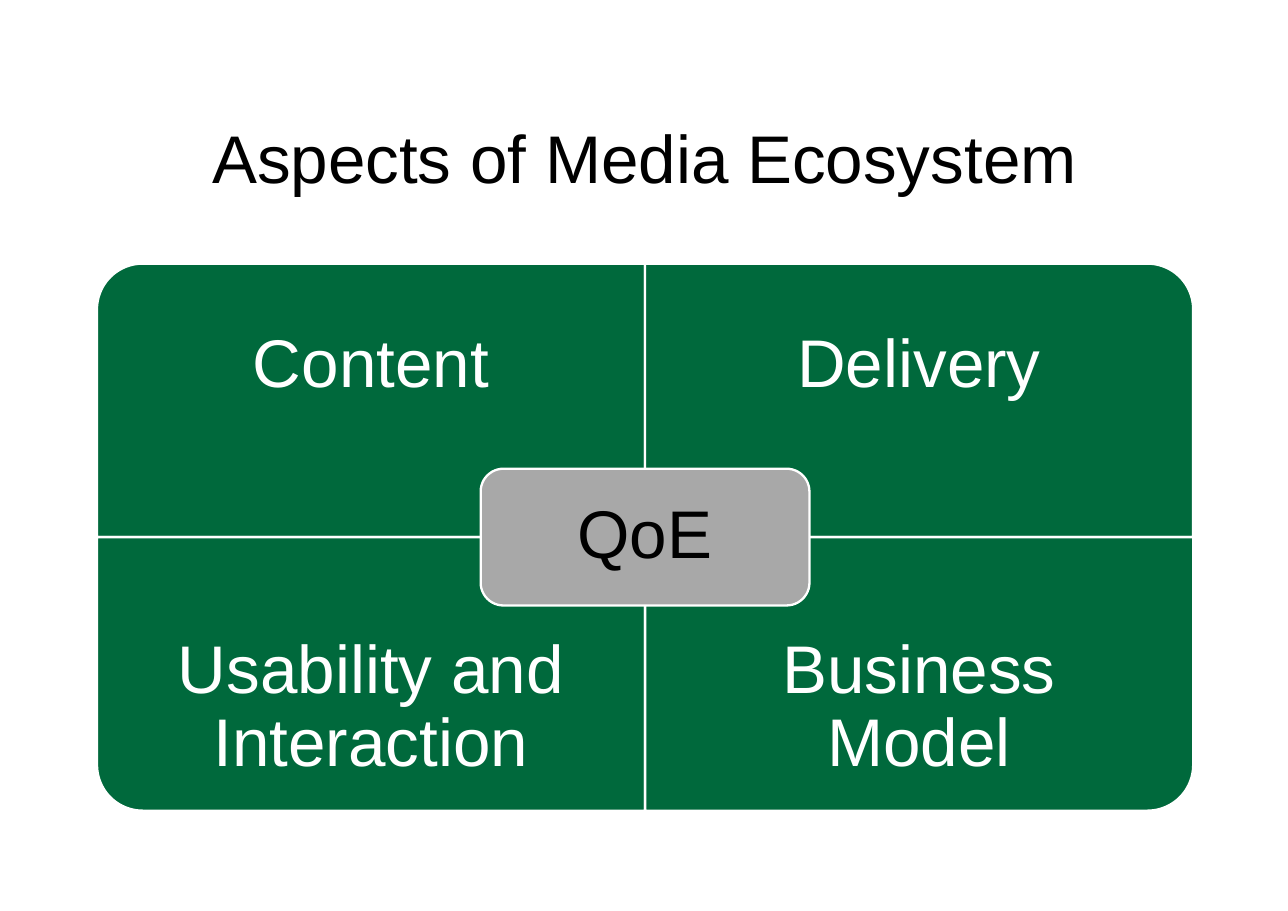
"""Build the slide on the aspects of the media ecosystem."""
import pptx
import pptx.util
import pptx.dml.color
import pptx.enum.shapes
import pptx.enum.text

Inches = pptx.util.Inches
Shapes = pptx.enum.shapes.MSO_SHAPE


def paint(target, color):
    target.solid()
    target.fore_color.rgb = pptx.dml.color.RGBColor.from_string(color)


def write(frame, text, color="FFFFFF", margin=0.34, spacing=0.9):
    frame.word_wrap = True
    frame.auto_size = pptx.enum.text.MSO_AUTO_SIZE.NONE
    frame.vertical_anchor = pptx.enum.text.MSO_ANCHOR.MIDDLE
    frame.margin_left = frame.margin_right = Inches(margin)
    frame.margin_top = frame.margin_bottom = Inches(margin)
    paragraph = frame.paragraphs[0]
    paragraph.text = text
    paragraph.alignment = pptx.enum.text.PP_ALIGN.CENTER
    paragraph.line_spacing = spacing
    font = paragraph.runs[0].font
    font.name = "Arial"
    font.size = pptx.util.Pt(44)
    paint(font.fill, color)


deck = pptx.Presentation()
deck.slide_width, deck.slide_height = Inches(11.68), Inches(8.26)
slide = deck.slides.add_slide(deck.slide_layouts[5])
paint(slide.background.fill, "FFFFFF")

title = slide.shapes.title
title.left, title.top = Inches(0.88), Inches(0.73)
title.width, title.height = Inches(9.94), Inches(1.38)
write(title.text_frame, "Aspects of Media Ecosystem", color="000000", margin=0.07, spacing=1)

left, top = 0.88, 2.39
width, height = 4.97, 2.48
label_height = height * 0.75

aspects = [
    ("Content", 0, 0, 270),
    ("Delivery", 1, 0, 0),
    ("Usability and Interaction", 0, 1, 180),
    ("Business Model", 1, 1, 90),
]
backdrops = []
for aspect, column, row, rotation in aspects:
    x, y = left + column * width, top + row * height
    quarter_turned = rotation in (90, 270)
    tile_width, tile_height = (height, width) if quarter_turned else (width, height)
    tile = slide.shapes.add_shape(
        Shapes.ROUND_1_RECTANGLE,
        Inches(x + (width - tile_width) / 2), Inches(y + (height - tile_height) / 2),
        Inches(tile_width), Inches(tile_height))
    tile.rotation = rotation
    backdrops.append((tile, "00693C"))
    label = slide.shapes.add_textbox(
        Inches(x), Inches(y + row * (height - label_height)),
        Inches(width), Inches(label_height))
    write(label.text_frame, aspect)

hub_width, hub_height = width * 0.6, height / 2
hub = slide.shapes.add_shape(
    Shapes.ROUNDED_RECTANGLE,
    Inches(left + width - hub_width / 2), Inches(top + height - hub_height / 2),
    Inches(hub_width), Inches(hub_height))
write(hub.text_frame, "QoE", color="000000", margin=0.24)
backdrops.append((hub, "A8A8A8"))

for backdrop, color in backdrops:
    backdrop.adjustments[0] = 0.167
    backdrop.shadow.inherit = False
    paint(backdrop.fill, color)
    paint(backdrop.line.fill, "FFFFFF")
    backdrop.line.width = pptx.util.Pt(1.5)

deck.save("out.pptx")
